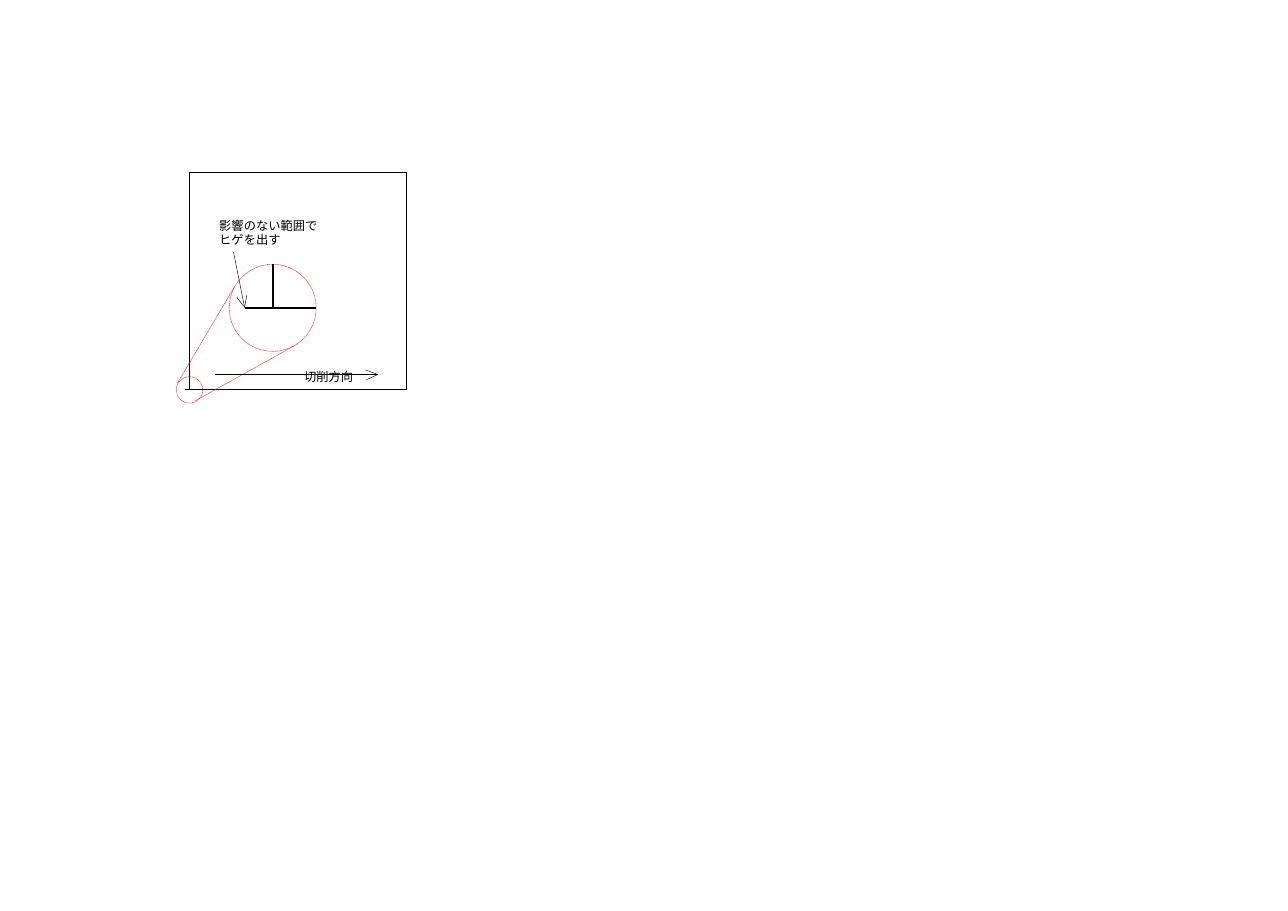
"""Build a slide showing a cut square, its enlarged corner and the cutting direction."""
from pptx import Presentation
from pptx.dml.color import RGBColor
from pptx.enum.dml import MSO_LINE
from pptx.enum.shapes import MSO_CONNECTOR, MSO_SHAPE
from pptx.enum.text import MSO_AUTO_SIZE
from pptx.oxml.ns import qn
from pptx.util import Inches, Pt

BLACK = RGBColor(0, 0, 0)
RED = RGBColor(255, 0, 0)
FONT = "Noto Sans CJK JP"

CUT = {"color": BLACK, "width": 0.57, "dash": None}
ENLARGED_CUT = {"color": BLACK, "width": 1.13, "dash": None}
POINTER = {"color": BLACK, "width": 0.28, "dash": None}
ZOOM = {"color": RED, "width": 0.28, "dash": MSO_LINE.ROUND_DOT}

LEFT, TOP, SIDE, WHISKER = 1.72, 1.57, 1.97, 0.04
RIGHT, BOTTOM = LEFT + SIDE, TOP + SIDE
LENS_X, LENS_Y, LENS_RADIUS = 2.475, 2.795, 0.395

SQUARE_CUTS = [
    ((RIGHT, TOP), (RIGHT, BOTTOM)),
    ((LEFT, TOP), (RIGHT, TOP)),
    ((LEFT, TOP), (LEFT, BOTTOM)),
    ((LEFT - WHISKER, BOTTOM), (RIGHT, BOTTOM)),
]
ZOOM_CIRCLES = [(LEFT, BOTTOM, 0.12), (LENS_X, LENS_Y, LENS_RADIUS)]
ZOOM_LINES = [((1.61, 3.48), (2.13, 2.6)), ((1.77, 3.64), (2.67, 3.14))]
LENS_CUTS = [
    ((LENS_X, LENS_Y - LENS_RADIUS), (LENS_X, LENS_Y)),
    ((LENS_X, LENS_Y), (LENS_X + LENS_RADIUS, LENS_Y)),
    ((LENS_X - 0.25, LENS_Y), (LENS_X, LENS_Y)),
]
ARROWS = [
    ((1.95, 3.4), (3.43, 3.4), [(3.32, 3.45), (3.32, 3.36)]),
    ((2.12, 2.29), (2.22, 2.79), [(2.15, 2.7), (2.24, 2.68)]),
]
LABELS = [
    ((2.76, 3.26, 0.48, 0.17), 16, ["切削方向"]),
    ((1.99, 1.99, 0.97, 0.22), 9, ["影響のない範囲で", "ヒゲを出す"]),
]


def style_line(line, style):
    line.color.rgb = style["color"]
    line.width = Pt(style["width"])
    if style["dash"]:
        line.dash_style = style["dash"]


def add_line(shapes, start, end, style):
    ends = [Inches(value) for value in (*start, *end)]
    connector = shapes.add_connector(MSO_CONNECTOR.STRAIGHT, *ends)
    properties = connector._element.spPr
    style_line(connector.line, style)
    properties.append(properties.makeelement(qn("a:effectLst"), {}))


def style_outline(shape, style):
    shape.shadow.inherit = False
    shape.fill.background()
    style_line(shape.line, style)


def add_circle(shapes, center_x, center_y, radius):
    box = (center_x - radius, center_y - radius, 2 * radius, 2 * radius)
    circle = shapes.add_shape(MSO_SHAPE.OVAL, *map(Inches, box))
    style_outline(circle, ZOOM)


def add_arrow(shapes, start, tip, barbs):
    group = shapes.add_group_shape()
    add_line(group.shapes, start, tip, POINTER)
    first, *others = [(Inches(x), Inches(y)) for x, y in (barbs[0], tip, barbs[1])]
    builder = group.shapes.build_freeform(*first)
    builder.add_line_segments(others, close=False)
    style_outline(builder.convert_to_shape(), POINTER)


def add_label(shapes, box, spacing, lines):
    frame = shapes.add_textbox(*map(Inches, box)).text_frame
    settings = {"word_wrap": False, "auto_size": MSO_AUTO_SIZE.SHAPE_TO_FIT_TEXT,
                "margin_left": 0, "margin_right": 0, "margin_top": 0, "margin_bottom": 0}
    for name, value in settings.items():
        setattr(frame, name, value)
    frame.text = "\n".join(lines)
    for paragraph in frame.paragraphs:
        paragraph.line_spacing = Pt(spacing)
        font = paragraph.runs[0].font
        font.color.rgb = BLACK
        for name, value in {"name": FONT, "size": Pt(8)}.items():
            setattr(font, name, value)
        east_asian = font._element.makeelement(qn("a:ea"), {"typeface": FONT})
        font._element.find(qn("a:latin")).addnext(east_asian)


presentation = Presentation()
presentation.slide_width, presentation.slide_height = Inches(11.69), Inches(8.27)
slide = presentation.slides.add_slide(presentation.slide_layouts[6])

for start, end in SQUARE_CUTS:
    add_line(slide.shapes, start, end, CUT)
for circle in ZOOM_CIRCLES:
    add_circle(slide.shapes, *circle)
for lines, style in ((ZOOM_LINES, ZOOM), (LENS_CUTS, ENLARGED_CUT)):
    for start, end in lines:
        add_line(slide.shapes, start, end, style)
for arrow, label in zip(ARROWS, LABELS):
    add_arrow(slide.shapes, *arrow)
    add_label(slide.shapes, *label)

presentation.save("out.pptx")
